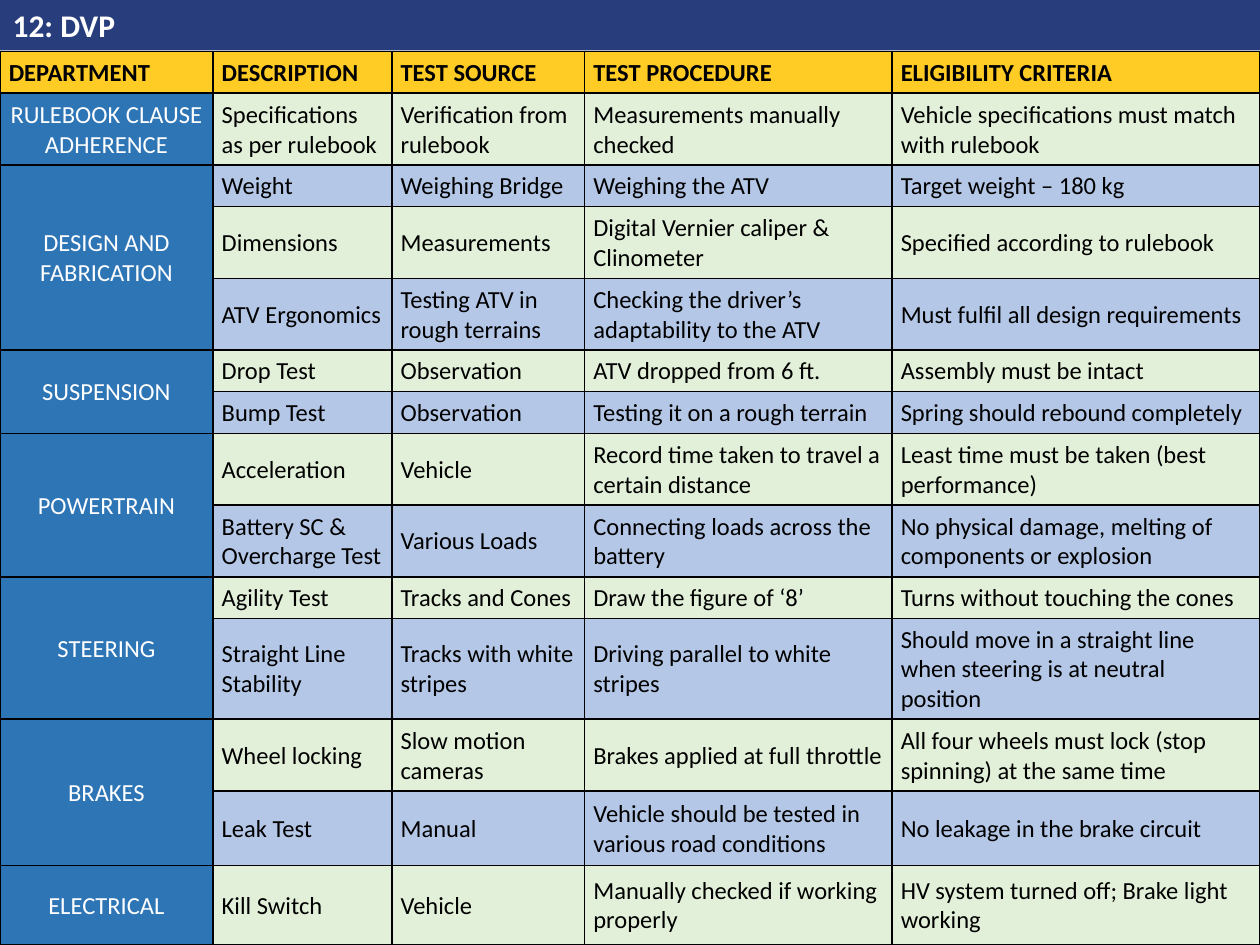
from lxml import etree
from pptx import Presentation
from pptx.dml.color import RGBColor
from pptx.enum.text import MSO_ANCHOR as Anchor, PP_ALIGN as Align
from pptx.oxml.ns import qn
from pptx.util import Inches, Pt

NAVY = RGBColor(0x28, 0x3D, 0x7C)
GOLD = RGBColor(0xFF, 0xCB, 0x25)
BLUE = RGBColor(0x2E, 0x75, 0xB6)
GREEN = RGBColor(0xE2, 0xF0, 0xD9)
LILAC = RGBColor(0xB4, 0xC7, 0xE7)
WHITE = RGBColor(0xFF, 0xFF, 0xFF)
BLACK = RGBColor(0x00, 0x00, 0x00)

HEADERS = ["DEPARTMENT", "DESCRIPTION", "TEST SOURCE", "TEST PROCEDURE", "ELIGIBILITY CRITERIA"]
COLUMN_WIDTHS = [1.69, 1.42, 1.53, 2.44, 2.92]
ONE_LINE, TWO_LINES, THREE_LINES = 0.33, 0.57, 0.8

# Each department with its tests: row height, then the four cell texts
DEPARTMENTS = [
    ("RULEBOOK CLAUSE ADHERENCE", [
        (TWO_LINES, "Specifications as per rulebook", "Verification from rulebook",
         "Measurements manually checked", "Vehicle specifications must match with rulebook"),
    ]),
    ("DESIGN AND FABRICATION", [
        (ONE_LINE, "Weight", "Weighing Bridge", "Weighing the ATV", "Target weight – 180 kg"),
        (TWO_LINES, "Dimensions", "Measurements",
         "Digital Vernier caliper & Clinometer", "Specified according to rulebook"),
        (TWO_LINES, "ATV Ergonomics", "Testing ATV in rough terrains",
         "Checking the driver’s adaptability to the ATV", "Must fulfil all design requirements"),
    ]),
    ("SUSPENSION", [
        (ONE_LINE, "Drop Test", "Observation", "ATV dropped from 6 ft.", "Assembly must be intact"),
        (ONE_LINE, "Bump Test", "Observation",
         "Testing it on a rough terrain", "Spring should rebound completely"),
    ]),
    ("POWERTRAIN", [
        (TWO_LINES, "Acceleration", "Vehicle",
         "Record time taken to travel a certain distance",
         "Least time must be taken (best performance)"),
        (TWO_LINES, "Battery SC & Overcharge Test", "Various Loads",
         "Connecting loads across the battery",
         "No physical damage, melting of components or explosion"),
    ]),
    ("STEERING", [
        (ONE_LINE, "Agility Test", "Tracks and Cones",
         "Draw the figure of ‘8’", "Turns without touching the cones"),
        (THREE_LINES, "Straight Line Stability", "Tracks with white stripes",
         "Driving parallel to white stripes",
         "Should move in a straight line when steering is at neutral position"),
    ]),
    ("BRAKES", [
        (TWO_LINES, "Wheel locking", "Slow motion cameras", "Brakes applied at full throttle",
         "All four wheels must lock (stop spinning) at the same time"),
        (0.59, "Leak Test", "Manual",
         "Vehicle should be tested in various road conditions", "No leakage in the brake circuit"),
    ]),
    ("ELECTRICAL", [
        (0.63, "Kill Switch", "Vehicle", "Manually checked if working properly",
         "HV system turned off; Brake light working"),
    ]),
]


def write_text(frame, text, align=Align.LEFT, **font_format):
    para = frame.paragraphs[0]
    para.alignment = align
    span = para.add_run()
    span.text = text
    span.font.color.rgb = font_format.pop("color")
    for name, value in {"name": "Calibri", **font_format}.items():
        setattr(span.font, name, value)


def style_cell(cell, fill):
    cell_format = {"vertical_anchor": Anchor.MIDDLE,
                   "margin_left": Inches(0.07), "margin_right": Inches(0.07),
                   "margin_top": Inches(0.05), "margin_bottom": Inches(0.04)}
    for name, value in cell_format.items():
        setattr(cell, name, value)
    properties = cell._tc.get_or_add_tcPr()
    for side in ("a:lnL", "a:lnR", "a:lnT", "a:lnB"):
        line = etree.SubElement(properties, qn(side), w=str(Pt(1)))
        solid = etree.SubElement(line, qn("a:solidFill"))
        etree.SubElement(solid, qn("a:srgbClr"), val=str(BLACK))
    cell.fill.solid()
    cell.fill.fore_color.rgb = fill


deck = Presentation()
deck.slide_width, deck.slide_height = Inches(10), Inches(7.5)
page = deck.slides.add_slide(deck.slide_layouts[5])

# Title band
title = page.shapes.title
title_place = {"left": 0, "top": 0, "width": Inches(10), "height": Inches(0.4)}
for name, value in title_place.items():
    setattr(title, name, value)
title.fill.solid()
title.fill.fore_color.rgb = NAVY
title.text_frame.vertical_anchor = Anchor.MIDDLE
write_text(title.text_frame, "12: DVP", size=Pt(18), bold=True, color=WHITE)

# Table grid
heights = [ONE_LINE] + [test[0] for _, tests in DEPARTMENTS for test in tests]
table = page.shapes.add_table(len(heights), len(HEADERS), 0, Inches(0.41),
                              Inches(10), Inches(sum(heights))).table
for column, width in zip(table.columns, COLUMN_WIDTHS):
    column.width = Inches(width)
for row, height in zip(table.rows, heights):
    row.height = Inches(height)

# Header row
for column, text in enumerate(HEADERS):
    cell = table.cell(0, column)
    style_cell(cell, GOLD)
    write_text(cell.text_frame, text, size=Pt(14), bold=True, color=BLACK)

# Tests in alternating colours, each department merged over its rows
row = 1
for department, tests in DEPARTMENTS:
    first_row = row
    for _, *texts in tests:
        style_cell(table.cell(row, 0), BLUE)
        for column, text in enumerate(texts, start=1):
            cell = table.cell(row, column)
            style_cell(cell, GREEN if row % 2 else LILAC)
            write_text(cell.text_frame, text, size=Pt(14), bold=False, color=BLACK)
        row += 1
    cell = table.cell(first_row, 0)
    if len(tests) > 1:
        cell.merge(table.cell(row - 1, 0))
    write_text(cell.text_frame, department, Align.CENTER, size=Pt(14), bold=False, color=WHITE)

deck.save("out.pptx")
